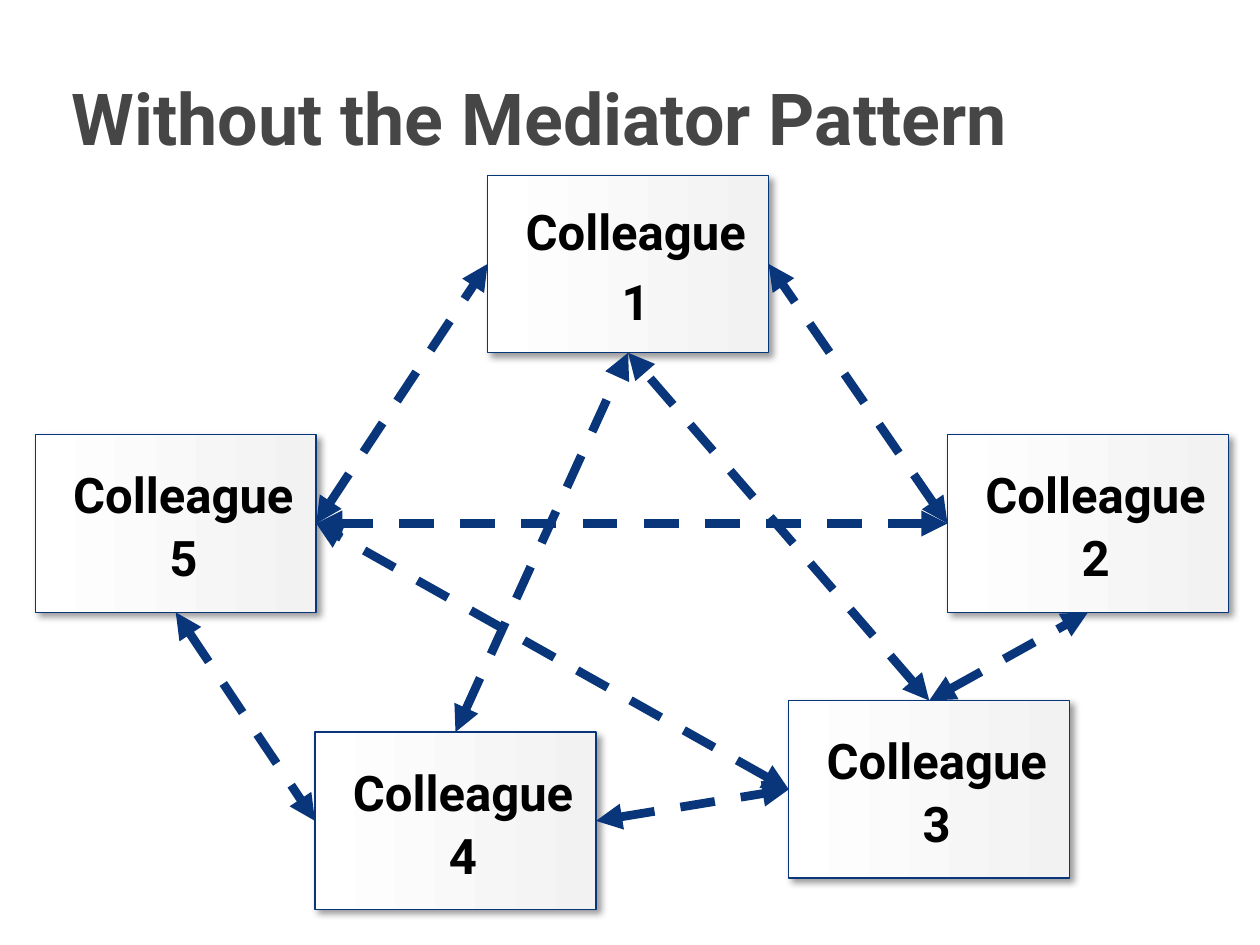
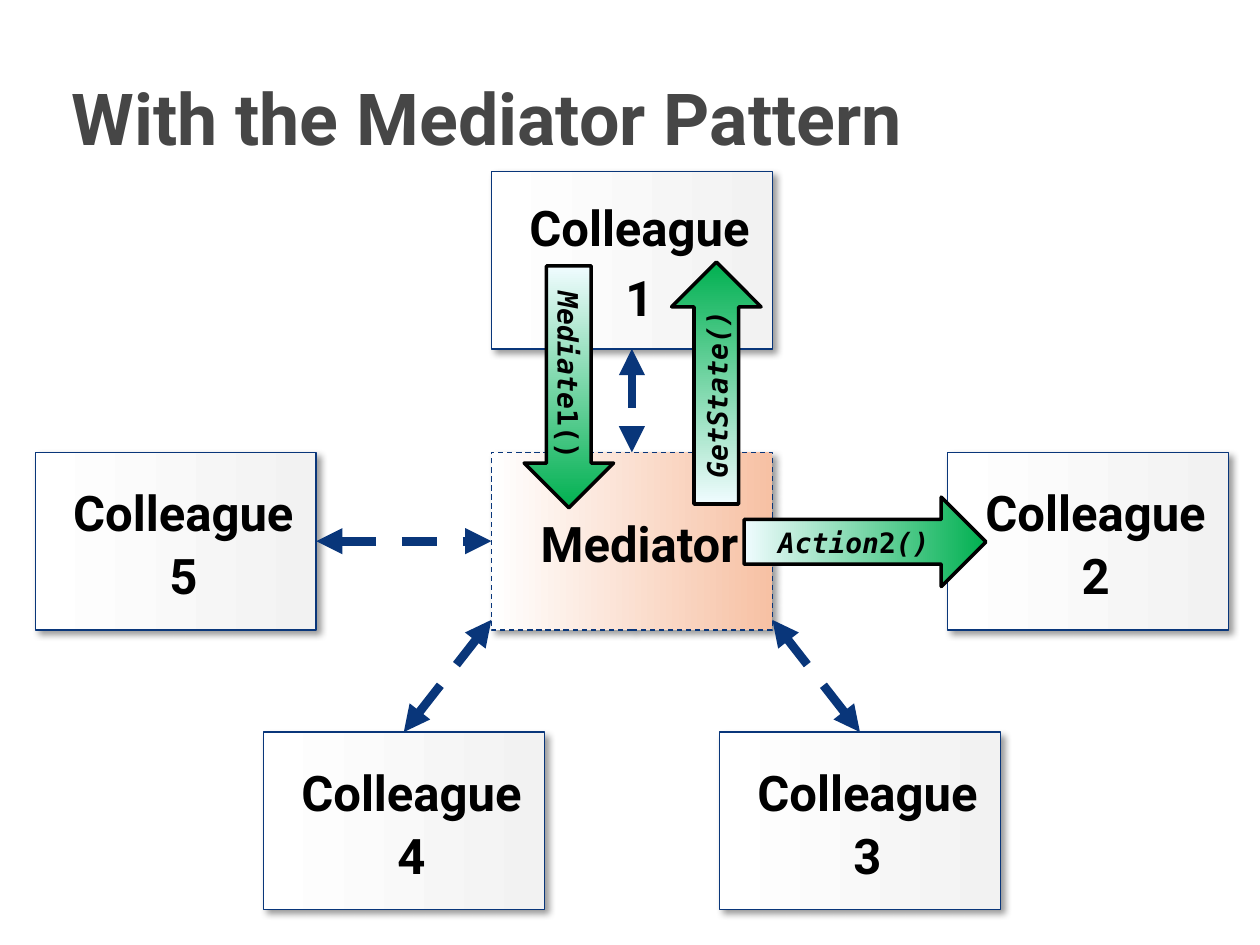
"""Build two slides that compare colleagues with and without the Mediator pattern."""
from dataclasses import dataclass

from lxml import etree
from pptx import Presentation
from pptx.dml.color import RGBColor
from pptx.enum.dml import MSO_LINE
from pptx.enum.shapes import MSO_CONNECTOR, MSO_SHAPE
from pptx.enum.text import MSO_ANCHOR, PP_ALIGN
from pptx.oxml.ns import qn
from pptx.util import Inches, Pt

DASH = MSO_LINE.DASH
STRAIGHT = MSO_CONNECTOR.STRAIGHT
RECTANGLE = MSO_SHAPE.RECTANGLE
DOWN_ARROW = MSO_SHAPE.DOWN_ARROW
MIDDLE = MSO_ANCHOR.MIDDLE
CENTER = PP_ALIGN.CENTER
LEFT_ALIGN = PP_ALIGN.LEFT
TOP, LEFT, BOTTOM, RIGHT = range(4)
BOX_WIDTH, BOX_HEIGHT = 2.23, 1.41
ARROW_WIDTH, ARROW_LENGTH = 0.71, 1.92


@dataclass(frozen=True)
class Theme:
    """Hold the colours, fonts and sizes that the slides share."""

    title_color: str = "464646"
    text_color: str = "000000"
    line_color: str = "09367A"
    box_gradient: tuple = ("FFFFFF", "F2F2F2")
    mediator_gradient: tuple = ("FFFFFF", "F7C1A4")
    call_gradient: tuple = ("F0FCFF", "00B050")
    font: str = "Roboto"
    code_font: str = "DejaVu Sans Mono"
    title_size: float = 41
    box_size: float = 28
    code_size: float = 16
    box_line: float = 0.75
    link_line: float = 5
    call_line: float = 2


THEME = Theme()


def write_text(shape, paragraphs, *, size, font=THEME.font, color=THEME.text_color,
               align=CENTER, indent=0, line_spacing=None, space_before=None):
    """Write paragraphs, each a list of (text, italic) runs, into a shape."""
    frame = shape.text_frame
    frame.word_wrap = True
    frame.vertical_anchor = MIDDLE
    for index, runs in enumerate(paragraphs):
        paragraph = frame.add_paragraph() if index else frame.paragraphs[0]
        paragraph.alignment = align
        paragraph.line_spacing = line_spacing
        paragraph.space_before = space_before
        if indent:
            properties = paragraph._p.get_or_add_pPr()
            properties.set("marL", str(Inches(indent)))
            properties.set("indent", "0")
        for text, italic in runs:
            run = paragraph.add_run()
            run.text = text
            run.font.name = font
            run.font.size = Pt(size)
            run.font.bold = True
            run.font.italic = italic
            run.font.color.rgb = RGBColor.from_string(color)


def add_title(slide, text):
    """Add the slide title."""
    shape = slide.shapes.add_textbox(Inches(0.47), Inches(0.3), Inches(9.03), Inches(1.25))
    write_text(shape, [[(text, False)]], size=THEME.title_size,
               color=THEME.title_color, align=LEFT_ALIGN)


def add_gradient_shape(slide, kind, left, top, width, height, *, gradient, angle,
                       line_color, line_width):
    """Add a shape with a two-colour gradient, an outline and no shadow."""
    shape = slide.shapes.add_shape(kind, Inches(left), Inches(top),
                                   Inches(width), Inches(height))
    shape.shadow.inherit = False
    shape.fill.gradient()
    shape.fill.gradient_angle = angle
    for stop, color in zip(shape.fill.gradient_stops, gradient):
        stop.color.rgb = RGBColor.from_string(color)
    shape.line.color.rgb = RGBColor.from_string(line_color)
    shape.line.width = Pt(line_width)
    return shape


def add_shadow(shape):
    """Give a shape a soft shadow to the lower right."""
    effects = shape._element.spPr.find(qn("a:effectLst"))
    shadow = etree.SubElement(effects, qn("a:outerShdw"), blurRad=str(Pt(4)),
                              dist=str(Pt(3)), dir=str(45 * 60000), algn="tl",
                              rotWithShape="0")
    color = etree.SubElement(shadow, qn("a:srgbClr"), val="000000")
    etree.SubElement(color, qn("a:alpha"), val="40000")


def add_box(slide, lines, left, top, gradient=THEME.box_gradient):
    """Add a labelled box, one paragraph for each line."""
    box = add_gradient_shape(slide, RECTANGLE, left, top, BOX_WIDTH, BOX_HEIGHT,
                             gradient=gradient, angle=0,
                             line_color=THEME.line_color, line_width=THEME.box_line)
    add_shadow(box)
    write_text(box, [[(line, False)] for line in lines], size=THEME.box_size,
               indent=0.12, line_spacing=1.07, space_before=Pt(4))
    return box


def add_colleagues(slide, positions):
    """Add the colleague boxes and return them by number."""
    colleagues = {}
    for number, (left, top) in positions.items():
        lines = ["Colleague", "1"] if number == 1 else [f"Colleague {number}"]
        colleagues[number] = add_box(slide, lines, left, top)
    return colleagues


def add_link(slide, box, side, other_box=None, other_side=None, point=(0, 0)):
    """Join a box to another box, or to a point, with a two-headed dashed line."""
    x, y = (Inches(value) for value in point)
    link = slide.shapes.add_connector(STRAIGHT, x, y, x, y)
    link.begin_connect(box, side)
    if other_box is not None:
        link.end_connect(other_box, other_side)
    link.line.color.rgb = RGBColor.from_string(THEME.line_color)
    link.line.width = Pt(THEME.link_line)
    link.line.dash_style = DASH
    outline = link.line._get_or_add_ln()
    for end in ("a:headEnd", "a:tailEnd"):
        etree.SubElement(outline, qn(end), type="triangle")
    etree.SubElement(link._element.spPr, qn("a:effectLst"))


def add_call(slide, runs, left, top, rotation=0):
    """Add a green block arrow that carries a method call."""
    arrow = add_gradient_shape(slide, DOWN_ARROW, left, top, ARROW_WIDTH, ARROW_LENGTH,
                               gradient=THEME.call_gradient, angle=270,
                               line_color=THEME.text_color, line_width=THEME.call_line)
    arrow.rotation = rotation
    write_text(arrow, [runs], size=THEME.code_size, font=THEME.code_font)
    arrow.text_frame._txBody.bodyPr.set("vert", "vert")


def build_without_mediator(slide):
    """Show colleagues that all talk to each other."""
    add_title(slide, "Without the Mediator Pattern")
    colleagues = add_colleagues(slide, {
        4: (2.5, 5.81), 3: (6.26, 5.56), 2: (7.52, 3.45), 5: (0.28, 3.45), 1: (3.87, 1.39)})
    links = [
        (5, RIGHT, 1, LEFT), (3, TOP, 1, BOTTOM), (4, TOP, 1, BOTTOM),
        (4, RIGHT, 3, LEFT), (3, TOP, 2, BOTTOM), (2, LEFT, 5, RIGHT),
        (2, LEFT, 1, RIGHT), (3, LEFT, 5, RIGHT), (5, BOTTOM, 4, LEFT)]
    for number, side, other, other_side in links:
        add_link(slide, colleagues[number], side, colleagues[other], other_side)


def build_with_mediator(slide):
    """Show colleagues that talk through one mediator."""
    add_title(slide, "With the Mediator Pattern")
    middle_left, middle_top = 3.9, 3.59
    colleagues = add_colleagues(slide, {
        4: (2.09, 5.81), 3: (5.71, 5.81), 2: (7.52, middle_top),
        5: (0.28, middle_top), 1: (middle_left, 1.36)})
    mediator = add_box(slide, ["Mediator"], middle_left, middle_top, THEME.mediator_gradient)
    mediator.line.dash_style = DASH

    for number, side, mediator_side in [(1, BOTTOM, TOP), (5, RIGHT, LEFT), (2, LEFT, RIGHT)]:
        add_link(slide, colleagues[number], side, mediator, mediator_side)
    for number, x in [(4, middle_left), (3, middle_left + BOX_WIDTH)]:
        add_link(slide, colleagues[number], TOP, point=(x, 4.92))

    add_call(slide, [("Mediate", True), ("1()", False)], 4.16, 2.11)
    add_call(slide, [("GetState()", True)], 5.33, 2.08, rotation=180)
    add_call(slide, [("Action", True), ("2", False), ("()", True)], 6.51, 3.34, rotation=270)


def main():
    """Build and save the presentation."""
    presentation = Presentation()
    presentation.slide_width = Inches(10)
    presentation.slide_height = Inches(7.5)
    blank_layout = presentation.slide_layouts[6]
    for build in (build_without_mediator, build_with_mediator):
        build(presentation.slides.add_slide(blank_layout))
    presentation.save("out.pptx")


if __name__ == "__main__":
    main()
